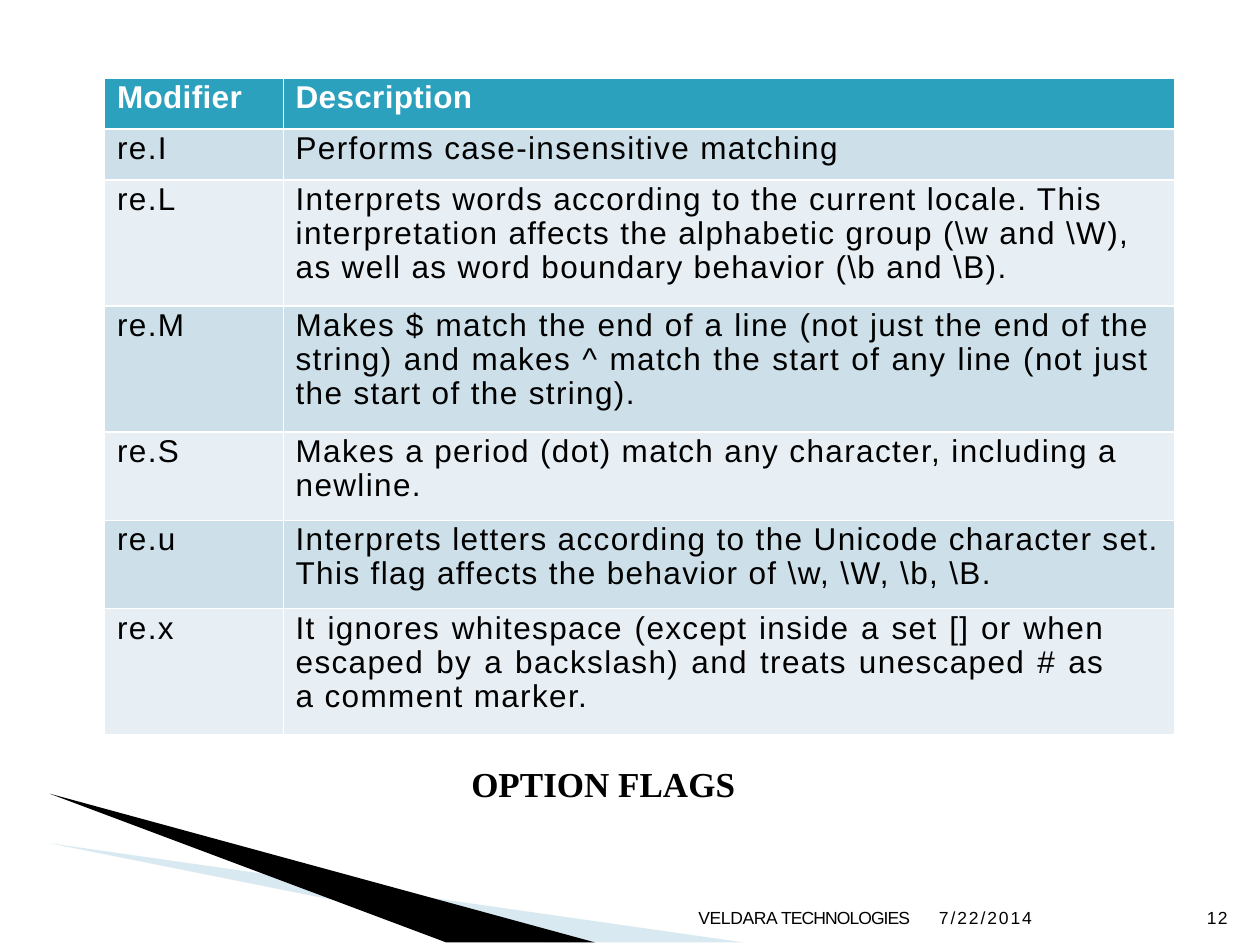
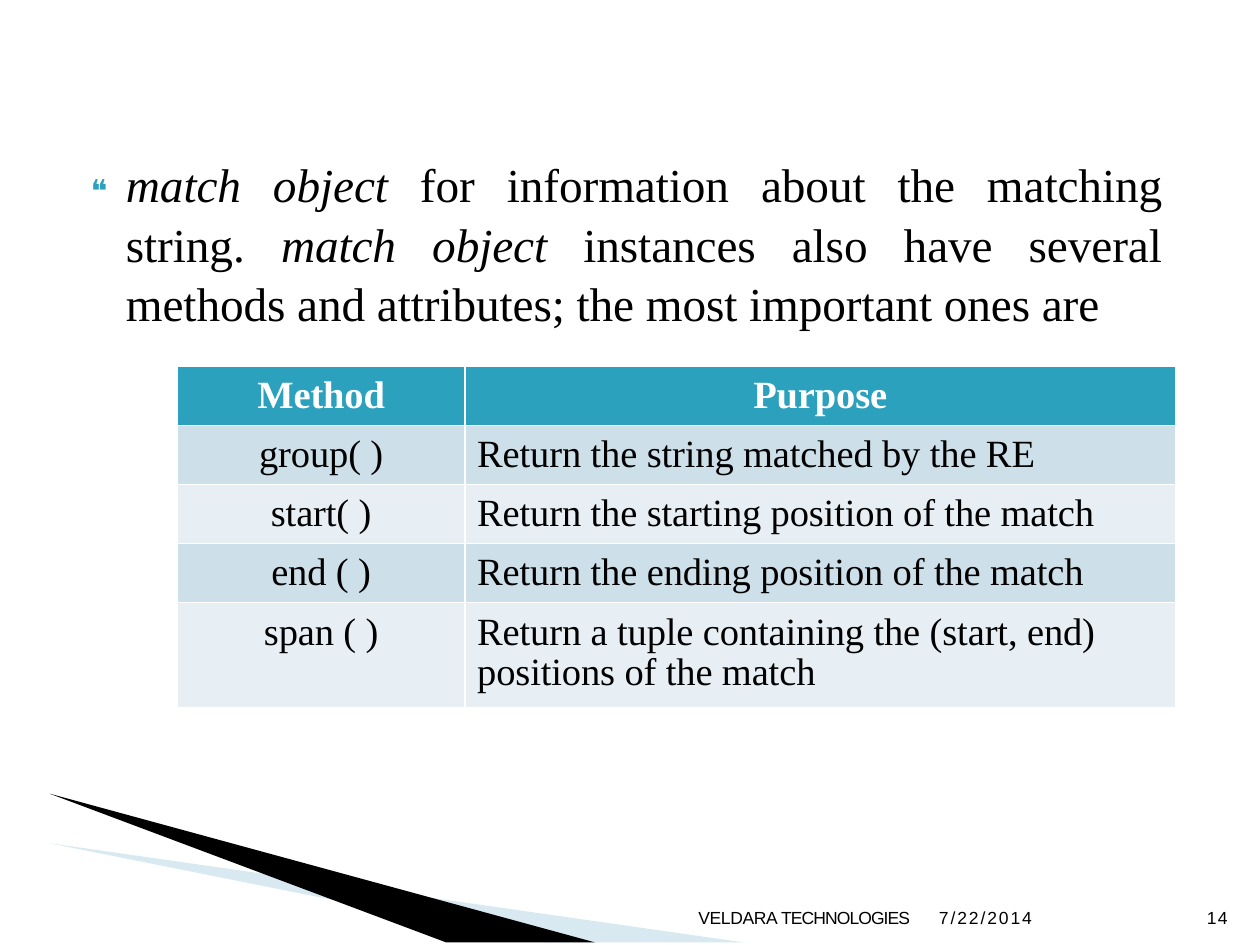
from pptx import Presentation
from pptx.dml.color import RGBColor
from pptx.enum.text import MSO_ANCHOR, PP_ALIGN
from pptx.oxml import parse_xml
from pptx.oxml.ns import nsdecls
from pptx.util import Cm, Pt

LEFT, CENTER, JUSTIFY = PP_ALIGN.LEFT, PP_ALIGN.CENTER, PP_ALIGN.JUSTIFY
TOP = MSO_ANCHOR.TOP

COLOURS = {"teal": "2CA1BE", "band": "CDDFE8", "pale_band": "E8EFF4",
           "wedge": "9FCADC", "black": "000000", "white": "FFFFFF"}
SANS, SERIF = "Arial", "Times New Roman"


def write(para, text, colour="black", spacing=0, **font_format):
    """Add a span of text; spacing is the letter spacing in points."""
    span = para.add_run()
    span.text = text
    for name, value in font_format.items():
        setattr(span.font, name, value)
    span.font.color.rgb = RGBColor.from_string(COLOURS[colour])
    span._r.get_or_add_rPr().set("spc", str(round(spacing * 100)))


def set_frame(frame, left=0, top=0, right=0):
    """Give a text frame or table cell its margins, anchored at the top."""
    settings = {"margin_left": Cm(left), "margin_top": Cm(top), "margin_right": Cm(right),
                "margin_bottom": 0, "vertical_anchor": TOP, "word_wrap": True}
    for name, value in settings.items():
        setattr(frame, name, value)


deck = Presentation()
deck.slide_width, deck.slide_height = Cm(25.4), Cm(19.05)
flags_page = deck.slides.add_slide(deck.slide_layouts[5])
match_page = deck.slides.add_slide(deck.slide_layouts[6])

# Corner wedges and footers on both pages
WEDGES = [("wedge", [(1.4, 16.51), (11.48, 19.05), (14.99, 19.05)]),
          ("black", [(1.35, 16.48), (9.32, 19.05), (11.51, 19.05)])]
for page, number in ((flags_page, "12"), (match_page, "14")):
    for colour, points in WEDGES:
        builder = page.shapes.build_freeform(*points[0], scale=Cm(1))
        builder.add_line_segments(points[1:], close=True)
        wedge = builder.convert_to_shape()
        wedge.shadow.inherit = False
        wedge.line.fill.background()
        wedge.fill.solid()
        wedge.fill.fore_color.rgb = RGBColor.from_string(COLOURS[colour])
        if colour == "wedge":
            wedge.fill._xPr.solidFill[0].append(
                parse_xml(f'<a:alpha {nsdecls("a")} val="40000"/>'))

    footers = [(14.05, 4.45, 0.03, [("VELDARA ", -0.2), ("TECHNOLOGIES", -0.5)]),
               (18.9, 2.1, 0.03, [("7/22/2014", 1.1)]),
               (24.23, 0.7, 0.1, [(number, 0.7)])]
    for left, width, indent, spans in footers:
        box = page.shapes.add_textbox(Cm(left), Cm(18.14), Cm(width), Cm(0.6))
        set_frame(box.text_frame, left=indent, top=0.14)
        for text, spacing in spans:
            write(box.text_frame.paragraphs[0], text, spacing=spacing, name=SANS, size=Pt(10))

# Title of the option flags page
title = flags_page.shapes.title
title.left, title.top, title.width, title.height = Cm(9.47), Cm(15.32), Cm(5.6), Cm(0.91)
set_frame(title.text_frame, left=0.03, top=0.06)
para = title.text_frame.paragraphs[0]
para.alignment = LEFT
write(para, "OPTION FLAGS", name=SERIF, size=Pt(20), bold=True)

# Introduction of the match object page
box = match_page.shapes.add_textbox(Cm(1.8), Cm(3.02), Cm(22.12), Cm(3.5))
set_frame(box.text_frame, top=0.06, right=0.5)
para = box.text_frame.paragraphs[0]
para.alignment, para.line_spacing = JUSTIFY, 1.05
properties = para._p.get_or_add_pPr()
properties.set("marL", str(Cm(0.74)))
properties.set("indent", str(-Cm(0.71)))
properties.append(parse_xml(
    f'<a:tabLst {nsdecls("a")}><a:tab pos="{Cm(1.63)}" algn="l"/></a:tabLst>'))
write(para, "❝\t", "teal", name=SANS, size=Pt(18))
for text, italic in [("match object ", True),
                     ("for information about the matching string. ", False),
                     ("match object ", True),
                     ("instances also have several methods and attributes; "
                      "the most important ones are", False)]:
    write(para, text, spacing=-0.05, name=SERIF, size=Pt(27), italic=italic)

# Table contents: label, description paragraphs, right margin, alignment
FLAGS = [
    ("Modifier", ["Description"], 0, LEFT),
    ("re.I", ["Performs case-insensitive matching"], 0, LEFT),
    ("re.L", ["Interprets words according to the current locale. This interpretation affects "
              "the alphabetic group (\\w and \\W), as well as word boundary behavior "
              "(\\b and \\B)."], 0.4, LEFT),
    ("re.M", ["Makes $ match the end of a line (not just the end of the string) and makes ^ "
              "match the start of any line (not just the start of the string)."], 0.5, JUSTIFY),
    ("re.S", ["Makes a period (dot) match any character, including a", "newline."], 0, LEFT),
    ("re.u", ["Interprets letters according to the Unicode character set. This flag affects "
              "the behavior of \\w, \\W, \\b, \\B."], 0.2, LEFT),
    ("re.x", ["It ignores whitespace (except inside a set [] or when escaped by a backslash) "
              "and treats unescaped # as a comment marker."], 1.4, JUSTIFY),
]
METHODS = [
    ("Method", ["Purpose"], 0, CENTER),
    ("group( )", ["Return the string matched by the RE"], 0, LEFT),
    ("start( )", ["Return the starting position of the match"], 0, LEFT),
    ("end ( )", ["Return the ending position of the match"], 0, LEFT),
    ("span ( )", ["Return a tuple containing the (start, end) positions of the match"], 0.8, LEFT),
]
TABLES = [
    {"page": flags_page, "rows": FLAGS, "left": 2.11, "top": 1.57, "widths": [3.6, 17.98],
     "heights": [1.03, 1.03, 2.54, 2.54, 1.78, 1.78, 2.54], "label_align": LEFT,
     "inset": 0.06, "line_spacing": 0.97, "spacing": 0.8, "name": SANS, "size": 18},
    {"page": match_page, "rows": METHODS, "left": 3.58, "top": 7.39, "widths": [5.79, 14.33],
     "heights": [1.19] * 4 + [2.11], "label_align": CENTER,
     "inset": 0.2, "line_spacing": 0.95, "spacing": -0.07, "name": SERIF, "size": 22},
]

# Tables: teal heading row, then alternating bands
for plan in TABLES:
    rows, widths, heights = plan["rows"], plan["widths"], plan["heights"]
    table = plan["page"].shapes.add_table(
        len(rows), len(widths), Cm(plan["left"]), Cm(plan["top"]),
        Cm(sum(widths)), Cm(sum(heights))).table
    for column, width in zip(table.columns, widths):
        column.width = Cm(width)
    for index, (label, description, right, align) in enumerate(rows):
        table.rows[index].height = Cm(heights[index])
        heading = index == 0
        fill = "teal" if heading else ("pale_band", "band")[index % 2]
        contents = [([label], 0, plan["label_align"]), (description, right, align)]
        for cell, (texts, margin, alignment) in zip(table.rows[index].cells, contents):
            cell.fill.solid()
            cell.fill.fore_color.rgb = RGBColor.from_string(COLOURS[fill])
            set_frame(cell, left=0 if alignment == CENTER else 0.25,
                      top=plan["inset"], right=margin)
            for position, text in enumerate(texts):
                frame = cell.text_frame
                para = frame.add_paragraph() if position else frame.paragraphs[0]
                para.alignment, para.line_spacing = alignment, plan["line_spacing"]
                write(para, text, "white" if heading else "black",
                      0.2 if heading and plan["name"] == SANS else plan["spacing"],
                      name=plan["name"], size=Pt(plan["size"]), bold=heading)

deck.save("out.pptx")
